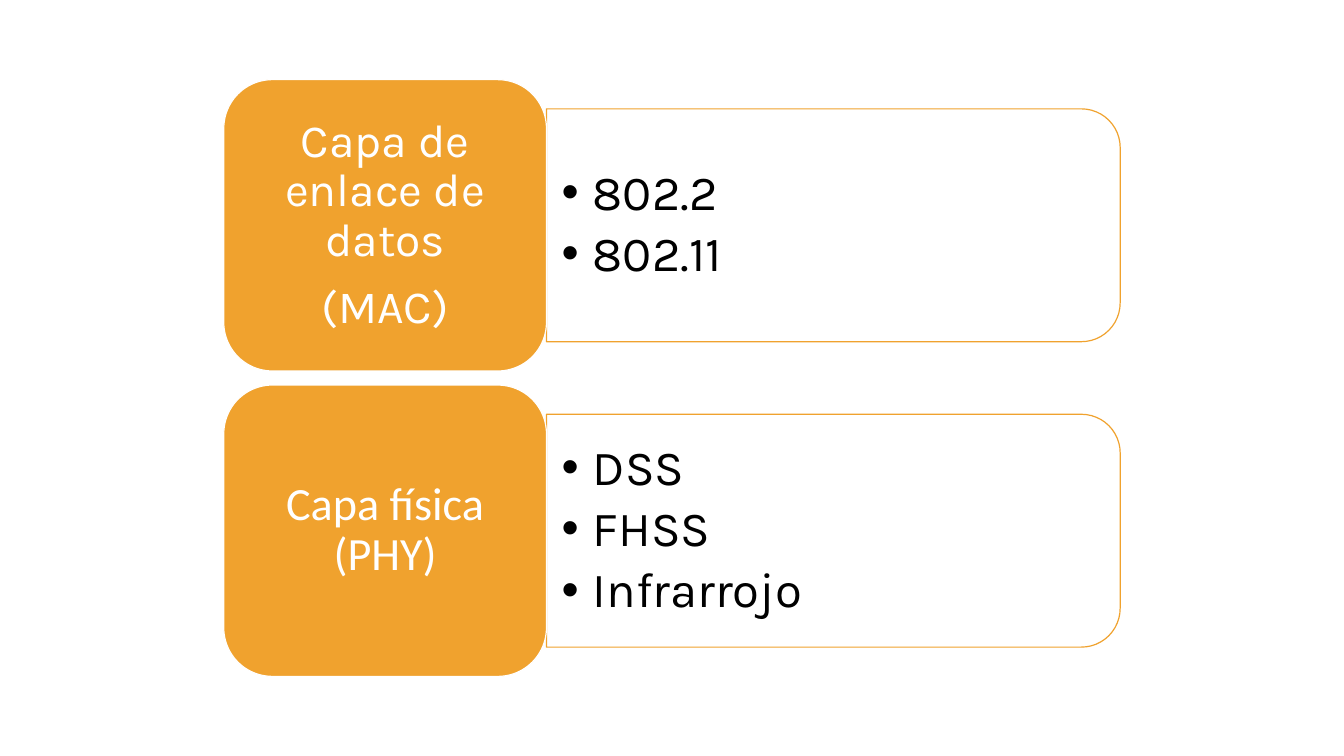
import pptx
import pptx.util
import pptx.dml.color
import pptx.enum.shapes
import pptx.enum.text

LAYERS = [
    {"label": ["Capa de enlace de datos", "(MAC)"], "font": "Calibri" and "Karla",
     "items": ["802.2", "802.11"]},
    {"label": ["Capa física\n(PHY)"], "font": "Calibri",
     "items": ["DSS", "FHSS", "Infrarrojo"]},
]
COLORS = {"amber": "F0A22E", "white": "FFFFFF", "black": "000000"}

LEFT, TOP, STEP = 2.22, 0.79, 3.03
CARD_W, CARD_H = 3.2, 2.89
PANEL_W, PANEL_H = 5.69, 2.31
LIST_W, LIST_H = 5.58, 2.09
INDENT = 0.31

Inches, Pt = pptx.util.Inches, pptx.util.Pt
SHAPE = pptx.enum.shapes.MSO_SHAPE
ALIGN = pptx.enum.text.PP_ALIGN


def rgb(name):
    return pptx.dml.color.RGBColor.from_string(COLORS[name])


def draw(slide, kind, box, fill, line):
    shape = slide.shapes.add_shape(kind, *map(Inches, box))
    shape.shadow.inherit = False
    shape.fill.solid()
    shape.fill.fore_color.rgb = rgb(fill)
    shape.line.color.rgb = rgb(line)
    shape.line.width = Pt(0.85)
    return shape


def write(shape, lines, font, size, color, align, after, side):
    """Fill a shape with one paragraph per line, centred vertically."""
    frame = shape.text_frame
    frame.word_wrap = True
    frame.auto_size = pptx.enum.text.MSO_AUTO_SIZE.NONE
    frame.vertical_anchor = pptx.enum.text.MSO_ANCHOR.MIDDLE
    frame.margin_left = frame.margin_right = Inches(side)
    frame.margin_top = frame.margin_bottom = Inches(0.07)
    for i, line in enumerate(lines):
        para = frame.add_paragraph() if i else frame.paragraphs[0]
        para.text = line
        para.alignment = align
        para.line_spacing = 0.9
        para.space_before, para.space_after = Pt(0), Pt(after)
        para.font.name, para.font.size = font, Pt(size)
        para.font.color.rgb = rgb(color)


def indent(shape):
    for para in shape.text_frame.paragraphs:
        props = para._p.get_or_add_pPr()
        props.set("marL", str(Inches(INDENT)))
        props.set("indent", str(-Inches(INDENT)))


def main():
    deck = pptx.Presentation()
    deck.slide_width, deck.slide_height = Inches(13.33), Inches(7.5)
    slide = deck.slides.add_slide(deck.slide_layouts[3])
    title, *bodies = slide.placeholders
    tree = title.element.getparent()
    tree.remove(title.element)

    right = LEFT + CARD_W
    for row, (layer, body) in enumerate(zip(LAYERS, bodies)):
        top = TOP + row * STEP
        mid = top + CARD_H / 2
        # The panel is a tall shape turned a quarter, about its own centre
        box = (right + (PANEL_W - PANEL_H) / 2, mid - PANEL_W / 2,
               PANEL_H, PANEL_W)
        panel = draw(slide, SHAPE.ROUND_2_SAME_RECTANGLE, box, "white", "amber")
        panel.rotation = 90

        body.left, body.top = Inches(right), Inches(mid - LIST_H / 2)
        body.width, body.height = Inches(LIST_W), Inches(LIST_H)
        write(body, layer["items"], "Karla", 35, "black", ALIGN.LEFT, 6, 0.15)
        indent(body)
        tree.append(body.element)

        card = draw(slide, SHAPE.ROUNDED_RECTANGLE,
                    (LEFT, top, CARD_W, CARD_H), "amber", "white")
        write(card, layer["label"], layer["font"], 33, "white",
              ALIGN.CENTER, 12, 0.14)

    deck.save("out.pptx")


if __name__ == "__main__":
    main()
